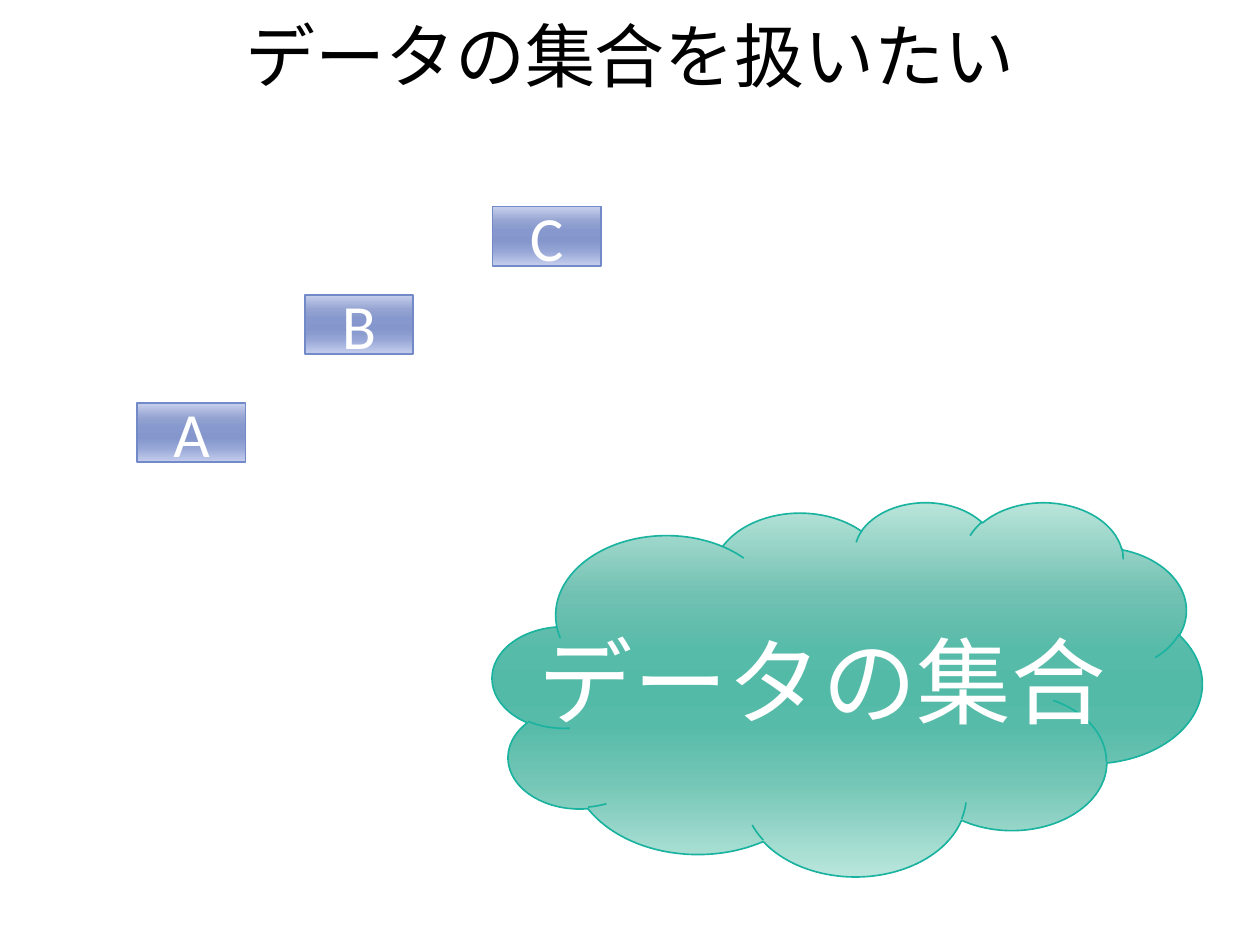
from dataclasses import dataclass

from lxml.etree import SubElement
from pptx import Presentation
from pptx.dml.color import RGBColor as RGB
from pptx.enum.shapes import MSO_SHAPE as Shape
from pptx.enum.text import MSO_ANCHOR as Anchor, MSO_AUTO_SIZE as AutoSize, PP_ALIGN as Align
from pptx.oxml.ns import qn
from pptx.slide import Slide
from pptx.text.text import TextFrame
from pptx.util import Pt


@dataclass(frozen=True)
class Tone:
    line: str
    stops: tuple[str, ...]


@dataclass(frozen=True)
class Theme:
    font: str = "Calibri"
    title_size: float = 40
    cloud_size: float = 54
    item_size: float = 36
    line_width: float = 0.94
    title_color: str = "000000"
    label_color: str = "FFFFFF"
    positions: tuple[int, ...] = (0, 25, 40, 50, 60, 75, 100)
    green: Tone = Tone("1AB39F", ("BBE5DB", "71C1B2", "57BBA9", "53BAA8",
                                  "57BBA9", "74C6B6", "B9E6DC"))
    blue: Tone = Tone("738AC8", ("C7CFEC", "94A3D1", "8698CD", "8496CC",
                                 "8698CD", "95A5D5", "C5CEED"))


@dataclass(frozen=True)
class Node:
    text: str
    left: float
    top: float
    width: float = 61.9
    height: float = 33.8
    kind: Shape = Shape.RECTANGLE
    tone: Tone = Theme.blue
    size: float = Theme.item_size
    wrap: bool = True


THEME = Theme()
NODES = (
    Node("データの集合", 281.5, 286.6, 405.4, 213.8, Shape.CLOUD,
         THEME.green, THEME.cloud_size, False),
    Node("A", 78.5, 230.4),
    Node("B", 174.2, 168.5),
    Node("C", 281.5, 118.1),
)


def write(tf: TextFrame, text: str, size: float, color: str, wrap: bool = True) -> None:
    """Put one centred line of text in a frame."""
    frame = {"word_wrap": wrap, "vertical_anchor": Anchor.MIDDLE, "auto_size": AutoSize.NONE}
    for name, value in frame.items():
        setattr(tf, name, value)
    p = tf.paragraphs[0]
    p.alignment = Align.CENTER
    r = p.add_run()
    r.text = text
    for name, value in {"name": THEME.font, "size": Pt(size)}.items():
        setattr(r.font, name, value)
    r.font.color.rgb = RGB.from_string(color)


def add_title(s: Slide, text: str) -> None:
    """Place and fill the title placeholder."""
    sp = s.shapes.title
    box = {"left": 36, "top": 0, "width": 648, "height": 62.6}
    for name, value in box.items():
        setattr(sp, name, Pt(value))
    write(sp.text_frame, text, THEME.title_size, THEME.title_color)


def add_node(s: Slide, node: Node) -> None:
    """Draw a labelled shape with a vertical gradient."""
    box = (Pt(v) for v in (node.left, node.top, node.width, node.height))
    sp = s.shapes.add_shape(node.kind, *box)
    sp.shadow.inherit = False
    sp.fill.gradient()
    sp.fill.gradient_angle = 270
    stops = next(sp.element.iter(qn("a:gsLst")))
    stops.clear()
    for position, color in zip(THEME.positions, node.tone.stops):
        stop = SubElement(stops, qn("a:gs"), pos=str(position * 1000))
        SubElement(stop, qn("a:srgbClr"), val=color)
    sp.line.color.rgb = RGB.from_string(node.tone.line)
    sp.line.width = Pt(THEME.line_width)
    write(sp.text_frame, node.text, node.size, THEME.label_color, node.wrap)


def main() -> None:
    """Build and save the slide."""
    prs = Presentation()
    prs.slide_width, prs.slide_height = Pt(720), Pt(540)
    s = prs.slides.add_slide(prs.slide_layouts[5])
    add_title(s, "データの集合を扱いたい")
    for node in NODES:
        add_node(s, node)
    prs.save("out.pptx")


if __name__ == "__main__":
    main()
